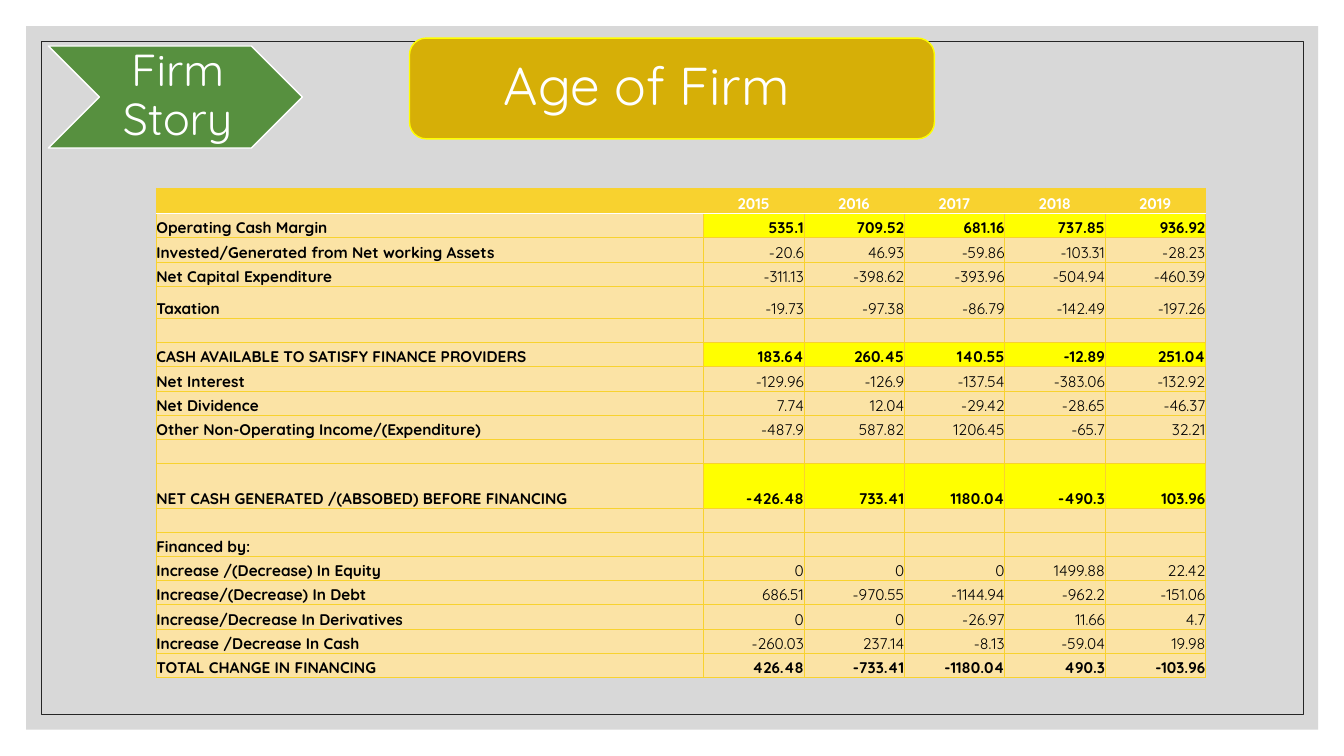
from lxml.etree import SubElement as Sub
from pptx import Presentation
from pptx.dml.color import RGBColor
from pptx.enum.shapes import MSO_SHAPE as Kind
from pptx.enum.text import MSO_ANCHOR as Anchor, MSO_AUTO_SIZE as Fit, PP_ALIGN as Align
from pptx.oxml.ns import qn
from pptx.util import Cm, Pt


def tint(code):
    return RGBColor.from_string(code)


def style(run, size, code, bold=False):
    form = {"name": "Quicksand", "size": Pt(size), "bold": bold}
    for key, val in form.items():
        setattr(run.font, key, val)
    run.font.color.rgb = tint(code)


deck = Presentation()
deck.slide_width, deck.slide_height = Cm(33.87), Cm(19.05)
slide = deck.slides.add_slide(deck.slide_layouts[5])

for kind, box, fill, line, width in [
    (Kind.RECTANGLE, (0.66, 0.66, 32.56, 17.73), "BFBFBF", None, 0),
    (Kind.RECTANGLE, (1.04, 1.04, 31.8, 16.97), None, "262626", 0.5),
    (Kind.ROUNDED_RECTANGLE, (10.32, 0.96, 13.23, 2.54), "D6AF07", "FFFF00", 1),
    (Kind.CHEVRON, (1.22, 1.16, 6.4, 2.57), "57903F", "FFFFFF", 1),
]:
    form = slide.shapes.add_shape(kind, *[Cm(n) for n in box])
    form.shadow.inherit = False
    if fill:
        form.fill.solid()
        form.fill.fore_color.rgb = tint(fill)
    else:
        form.fill.background()
    if line:
        form.line.color.rgb = tint(line)
        form.line.width = Pt(width)
    else:
        form.line.fill.background()
        shade = form._element.spPr.find(".//" + qn("a:srgbClr"))
        Sub(shade, qn("a:alpha"), val="60000")

title = slide.shapes.title
slide.shapes._spTree.append(title._element)
title.left, title.top, title.width, title.height = Cm(10.44), Cm(1.09), Cm(12.98), Cm(2.29)
label = slide.shapes.add_textbox(Cm(2.51), Cm(1.15), Cm(3.84), Cm(2.57))
for shape, text, size, align, pads in [
    (title, "Age of Firm", 38, Align.LEFT, (2.26, 0.4, 0.4, 0.4)),
    (label, "Firm Story", 32, Align.CENTER, (0.1, 0.05, 0, 0.05)),
]:
    frame = shape.text_frame
    left, top, right, base = [Cm(n) for n in pads]
    for key, val in {
        "margin_left": left, "margin_top": top, "margin_right": right, "margin_bottom": base,
        "word_wrap": True, "auto_size": Fit.NONE, "vertical_anchor": Anchor.MIDDLE,
    }.items():
        setattr(frame, key, val)
    para = frame.paragraphs[0]
    para.alignment, para.line_spacing = align, 0.9
    run = para.add_run()
    run.text = text
    style(run, size, "FFFFFF")

rows = [
    ("", "2015", "2016", "2017", "2018", "2019"),
    ("Operating Cash Margin", "535.1", "709.52", "681.16", "737.85", "936.92"),
    ("Invested/Generated from Net working Assets", "-20.6", "46.93", "-59.86", "-103.31", "-28.23"),
    ("Net Capital Expenditure", "-311.13", "-398.62", "-393.96", "-504.94", "-460.39"),
    ("Taxation", "-19.73", "-97.38", "-86.79", "-142.49", "-197.26"),
    ("",) * 6,
    ("CASH AVAILABLE TO SATISFY FINANCE PROVIDERS", "183.64", "260.45", "140.55", "-12.89", "251.04"),
    ("Net Interest", "-129.96", "-126.9", "-137.54", "-383.06", "-132.92"),
    ("Net Dividence", "7.74", "12.04", "-29.42", "-28.65", "-46.37"),
    ("Other Non-Operating Income/(Expenditure)", "-487.9", "587.82", "1206.45", "-65.7", "32.21"),
    ("",) * 6,
    ("NET CASH GENERATED /(ABSOBED) BEFORE FINANCING", "-426.48", "733.41", "1180.04", "-490.3", "103.96"),
    ("",) * 6,
    ("Financed by:", "", "", "", "", ""),
    ("Increase /(Decrease) In Equity", "0", "0", "0", "1499.88", "22.42"),
    ("Increase/(Decrease) In Debt", "686.51", "-970.55", "-1144.94", "-962.2", "-151.06"),
    ("Increase/Decrease In Derivatives", "0", "0", "-26.97", "11.66", "4.7"),
    ("Increase /Decrease In Cash", "-260.03", "237.14", "-8.13", "-59.04", "19.98"),
    ("TOTAL CHANGE IN FINANCING", "426.48", "-733.41", "-1180.04", "490.3", "-103.96"),
]
last = len(rows) - 1
marked = {1, 6, 11}
heights = {0: 0.64, 4: 0.81, 11: 1.12}
table = slide.shapes.add_table(len(rows), 6, Cm(3.94), Cm(4.74), Cm(26.44), Cm(12.33)).table
for c, col in enumerate(table.columns):
    col.width = Cm(2.53 if c else 13.79)

for r, row in enumerate(rows):
    table.rows[r].height = Cm(heights.get(r, 0.61))
    for c, text in enumerate(row):
        cell = table.cell(r, c)
        for key in ("margin_left", "margin_top", "margin_right", "margin_bottom"):
            setattr(cell, key, 0)
        cell.vertical_anchor = Anchor.BOTTOM
        para = cell.text_frame.paragraphs[0]
        para.alignment = Align.CENTER if r == 0 else Align.RIGHT if c else Align.LEFT
        if text:
            run = para.add_run()
            run.text = text
            bold = c == 0 or r in marked | {0, last}
            style(run, 11, "000000" if r else "FFFFFF", bold)
        else:
            Sub(para._p, qn("a:endParaRPr"), sz="1100")
        props = cell._tc.get_or_add_tcPr()
        for side in "LRTB":
            white = (r, side) in {(0, "B"), (1, "T")}
            thick = white or (r == last and side in "TB")
            edge = Sub(props, qn("a:ln" + side), w=str(Pt(1 if thick else 0.5)))
            paint = Sub(edge, qn("a:solidFill"))
            Sub(paint, qn("a:srgbClr"), val="FFFFFF" if white else "F8D22F")
        cell.fill.solid()
        fill = "F8D22F" if r == 0 else "FFFF00" if c and r in marked else "FBE3A5"
        cell.fill.fore_color.rgb = tint(fill)

deck.save("out.pptx")
